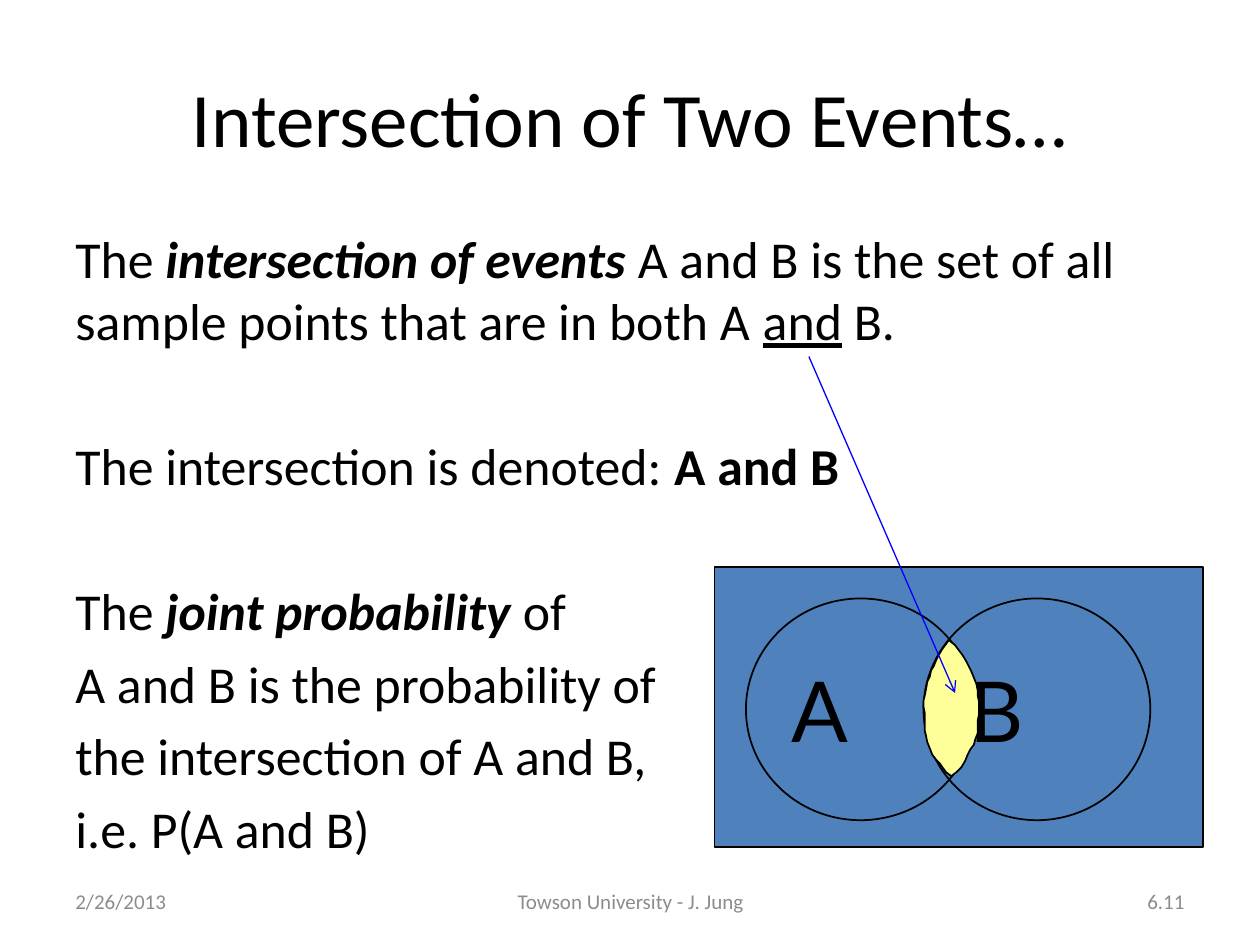
from lxml.etree import SubElement
from pptx import Presentation
from pptx.dml.color import RGBColor
from pptx.enum.shapes import MSO_CONNECTOR as Connector, MSO_SHAPE as Shape
from pptx.enum.text import MSO_ANCHOR as Anchor, PP_ALIGN as Align
from pptx.oxml.ns import qn
from pptx.util import Inches, Pt

BLACK = RGBColor(0x00, 0x00, 0x00)
GRAY = RGBColor(0x8C, 0x8C, 0x8C)
STEEL = RGBColor(0x4F, 0x81, 0xBD)
YELLOW = RGBColor(0xFF, 0xFF, 0x99)
BLUE = RGBColor(0x00, 0x00, 0xFF)

LINE_GAP, SECTION_GAP = 5.92, 47.4
BODY = [
    (0, [("The ", ""), ("intersection of events", "bi"),
         (" A and B is the set of all sample points that are in both A ", ""),
         ("and", "u"), (" B.", "")]),
    (SECTION_GAP, [("The intersection is denoted: ", ""), ("A and B", "b")]),
    (SECTION_GAP, [("The ", ""), ("joint probability", "bi"), (" of", "")]),
    (LINE_GAP, [("A and B is the probability of", "")]),
    (LINE_GAP, [("the intersection of A and B,", "")]),
    (LINE_GAP, [("i.e. P(A and B)", "")]),
]
FOOTERS = [
    ("2/26/2013", 0.5, 2.33, Align.LEFT),
    ("Towson University - J. Jung", 3.42, 3.17, Align.CENTER),
    ("6.11", 7.17, 2.33, Align.RIGHT),
]
CIRCLES = [("A", 5.92, 1.82), ("B", 7.33, 1.8)]
LENS = [
    (753, 508), (751, 511), (748, 515), (745, 520), (743, 524), (741, 529),
    (739, 532), (738, 537), (736, 541), (735, 547), (734, 552), (733, 556),
    (733, 561), (734, 566), (734, 580), (735, 584), (736, 589), (738, 594),
    (740, 599), (743, 603), (746, 606), (748, 609), (751, 613), (755, 616),
    (759, 613), (763, 609), (766, 604), (768, 599), (770, 595), (773, 591),
    (774, 587), (776, 582), (776, 572), (777, 567), (777, 557), (776, 552),
    (776, 548), (775, 543), (773, 538), (771, 533), (769, 529), (767, 525),
    (764, 520), (761, 516), (758, 512),
]


class SlideBuilder:
    """Holds the text style and the current slide, and adds its elements."""

    def __init__(self, slide, font="Calibri"):
        self.slide = slide
        self.font = font

    def add_span(self, para, text, size, color=BLACK, marks="", font=None):
        span = para.add_run()
        span.text = text
        span.font.name = font or self.font
        span.font.size = Pt(size)
        span.font.color.rgb = color
        span.font.bold = "b" in marks
        span.font.italic = "i" in marks
        span.font.underline = "u" in marks

    def title(self, text, left, top, width, height):
        box = self.slide.shapes.title
        box.left, box.top = Inches(left), Inches(top)
        box.width, box.height = Inches(width), Inches(height)
        box.text_frame.vertical_anchor = Anchor.MIDDLE
        para = box.text_frame.paragraphs[0]
        para.alignment = Align.CENTER
        self.add_span(para, text, 44)

    def text(self, paragraphs, left, top, width, height, size,
             color=BLACK, align=Align.LEFT, anchor=Anchor.TOP):
        box = self.slide.shapes.add_textbox(
            Inches(left), Inches(top), Inches(width), Inches(height))
        frame = box.text_frame
        frame.word_wrap = True
        frame.vertical_anchor = anchor
        for index, (gap, spans) in enumerate(paragraphs):
            para = frame.add_paragraph() if index else frame.paragraphs[0]
            para.alignment = align
            para.space_before = Pt(gap)
            for text, marks in spans:
                self.add_span(para, text, size, color, marks)

    def outline(self, shape, fill=None):
        shape.shadow.inherit = False
        if fill is None:
            shape.fill.background()
        else:
            shape.fill.solid()
            shape.fill.fore_color.rgb = fill
        shape.line.color.rgb = BLACK
        shape.line.width = Pt(1)

    def shape(self, kind, left, top, width, height, fill=None, label=None):
        shape = self.slide.shapes.add_shape(
            kind, Inches(left), Inches(top), Inches(width), Inches(height))
        self.outline(shape, fill)
        if label:
            frame = shape.text_frame
            frame.word_wrap = False
            frame.vertical_anchor = Anchor.MIDDLE
            para = frame.paragraphs[0]
            para.alignment = Align.LEFT
            self.add_span(para, label, 48, font="Lato")

    def polygon(self, points, fill):
        builder = self.slide.shapes.build_freeform(*points[0], scale=Inches(0.01))
        builder.add_line_segments(points[1:], close=True)
        self.outline(builder.convert_to_shape(), fill)

    def arrow(self, start, end, color):
        ends = [Inches(value) for value in (*start, *end)]
        arrow = self.slide.shapes.add_connector(Connector.STRAIGHT, *ends)
        arrow.line.color.rgb = color
        arrow.line.width = Pt(0.75)
        properties = arrow.element.spPr
        SubElement(properties.find(qn("a:ln")), qn("a:tailEnd"), type="arrow")
        SubElement(properties, qn("a:effectLst"))


def main():
    deck = Presentation()
    deck.slide_width, deck.slide_height = Inches(10), Inches(7.5)
    page = SlideBuilder(deck.slides.add_slide(deck.slide_layouts[5]))
    page.title("Intersection of Two Events…", 0.5, 0.3, 9, 1.25)
    page.text(BODY, 0.5, 1.75, 9, 4.95, 29.6)
    page.shape(Shape.RECTANGLE, 5.67, 4.5, 3.88, 2.22, STEEL)
    for label, left, width in CIRCLES:
        page.shape(Shape.OVAL, left, 4.75, width, 1.76, label=label)
    page.polygon(LENS, YELLOW)
    page.arrow((6.42, 2.83), (7.58, 5.5), BLUE)
    for text, left, width, align in FOOTERS:
        page.text([(0, [(text, "")])], left, 6.95, width, 0.4, 12,
                  GRAY, align, Anchor.MIDDLE)
    deck.save("out.pptx")


if __name__ == "__main__":
    main()
